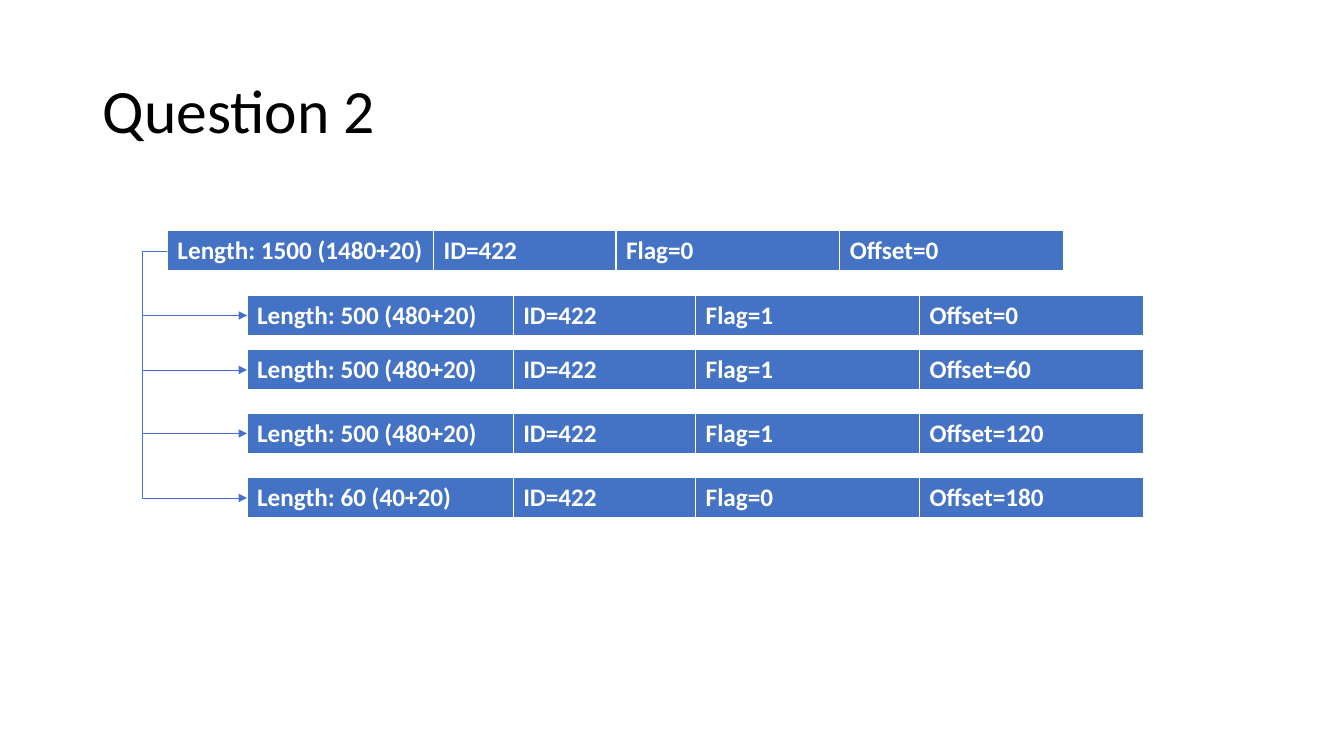
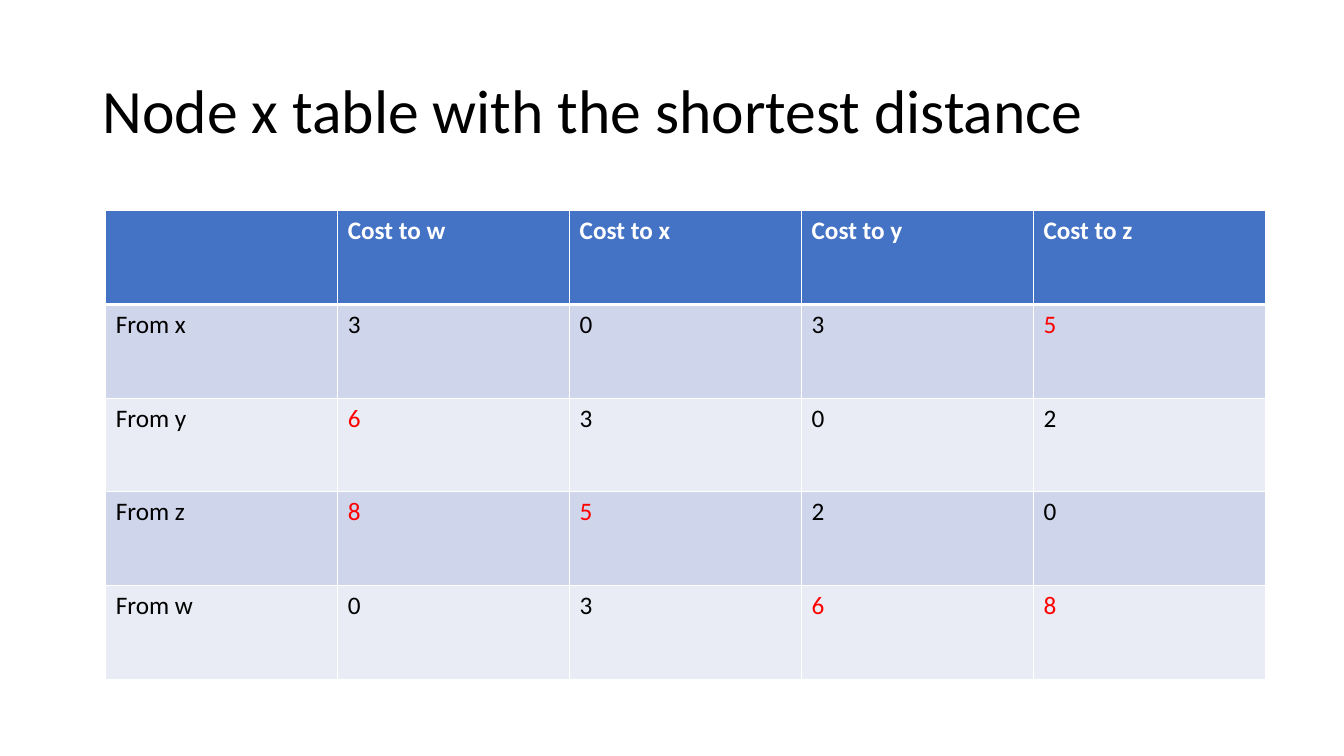
from lxml import etree
from pptx import Presentation
from pptx import util as u
from pptx.dml import color
from pptx.enum import shapes, text
from pptx.oxml import ns

PX = 9144
C = {"ink": "000000", "white": "FFFFFF", "blue": "4472C4",
     "odd": "CFD5EA", "even": "E9EBF5", "red": "FF0000"}
FONT = {"name": "Calibri", "size": u.Pt(18), "bold": False}
HEAD = {**FONT, "bold": True}
TITLE = {**FONT, "size": u.Pt(44)}


def put_text(tf, content, fmt, ink):
    p = tf.paragraphs[0]
    r = p.add_run()
    r.text = content
    for key, value in fmt.items():
        setattr(r.font, key, value)
    r.font.color.rgb = color.RGBColor.from_string(C[ink])
    return p


def add_grid(s, x, y, widths, heights, rows, changed=()):
    frame = s.shapes.add_table(len(rows), len(widths), x * PX, y * PX,
                               sum(widths) * PX, sum(heights) * PX)
    for col, w in zip(frame.table.columns, widths):
        col.width = w * PX
    for i, (row, h) in enumerate(zip(rows, heights)):
        frame.table.rows[i].height = h * PX
        fill = "blue" if i == 0 else "odd" if i % 2 else "even"
        for j, content in enumerate(row):
            cell = frame.table.cell(i, j)
            cell.margin_right = 4 * PX
            cell.fill.solid()
            cell.fill.fore_color.rgb = color.RGBColor.from_string(C[fill])
            if i == 0:
                edge = etree.Element(ns.qn("a:lnB"), w=str(u.Pt(3)))
                paint = etree.SubElement(edge, ns.qn("a:solidFill"))
                etree.SubElement(paint, ns.qn("a:srgbClr"), val=C["white"])
                cell._tc.get_or_add_tcPr().insert(0, edge)
            ink = "white" if i == 0 else "red" if (i, j) in changed else "ink"
            if content:
                put_text(cell.text_frame, content, FONT if i else HEAD, ink)


prs = Presentation()
prs.slide_width, prs.slide_height = 1333 * PX, 750 * PX

slides = []
for title in ("Question 2", "Node x table with the shortest distance"):
    s = prs.slides.add_slide(prs.slide_layouts[6])
    tf = s.shapes.add_textbox(92 * PX, 40 * PX, 1150 * PX, 145 * PX).text_frame
    tf.word_wrap = True
    tf.vertical_anchor = text.MSO_ANCHOR.MIDDLE
    put_text(tf, title, TITLE, "ink").line_spacing = 0.9
    slides.append(s)
packets, costs = slides

PACKET_X, FRAGMENT_X, TRUNK_X = 166, 245, 141
PACKET_Y, ROW_H = 229, 41
FIELDS = [264, 181, 222, 222]
fragments = [
    (293, "500 (480+20)", 1, 0),
    (347, "500 (480+20)", 1, 60),
    (410, "500 (480+20)", 1, 120),
    (474, "60 (40+20)", 0, 180),
]
datagrams = [(PACKET_Y, "1500 (1480+20)", 0, 0)] + fragments
for k, (y, length, flag, offset) in enumerate(datagrams):
    row = [f"Length: {length}", "ID=422", f"Flag={flag}", f"Offset={offset}"]
    add_grid(packets, FRAGMENT_X if k else PACKET_X, y, FIELDS, [ROW_H], [row])

bend = round((TRUNK_X - PACKET_X) / (FRAGMENT_X - PACKET_X) * 100000)
for y, *_ in fragments:
    link = packets.shapes.add_connector(
        shapes.MSO_CONNECTOR.ELBOW, PACKET_X * PX, (PACKET_Y + ROW_H // 2) * PX,
        FRAGMENT_X * PX, (y + ROW_H // 2) * PX)
    link.line.color.rgb = color.RGBColor.from_string(C["blue"])
    link.line.width = u.Pt(0.5)
    etree.SubElement(link.line._get_or_add_ln(), ns.qn("a:tailEnd"), type="triangle")
    sp_pr = link._element.spPr
    etree.SubElement(sp_pr, ns.qn("a:effectLst"))
    guides = sp_pr.find(ns.qn("a:prstGeom")).find(ns.qn("a:avLst"))
    etree.SubElement(guides, ns.qn("a:gd"), name="adj1", fmla=f"val {bend}")

distances = {"x": "3035", "y": "6302", "z": "8520", "w": "0368"}
rows = [[""] + [f"Cost to {node}" for node in "wxyz"]]
rows += [[f"From {node}", *values] for node, values in distances.items()]
changed = {(1, 4), (2, 1), (3, 1), (3, 2), (4, 3), (4, 4)}
add_grid(costs, 105, 209, [230] * 5, [93] * 5, rows, changed)

prs.save("out.pptx")
